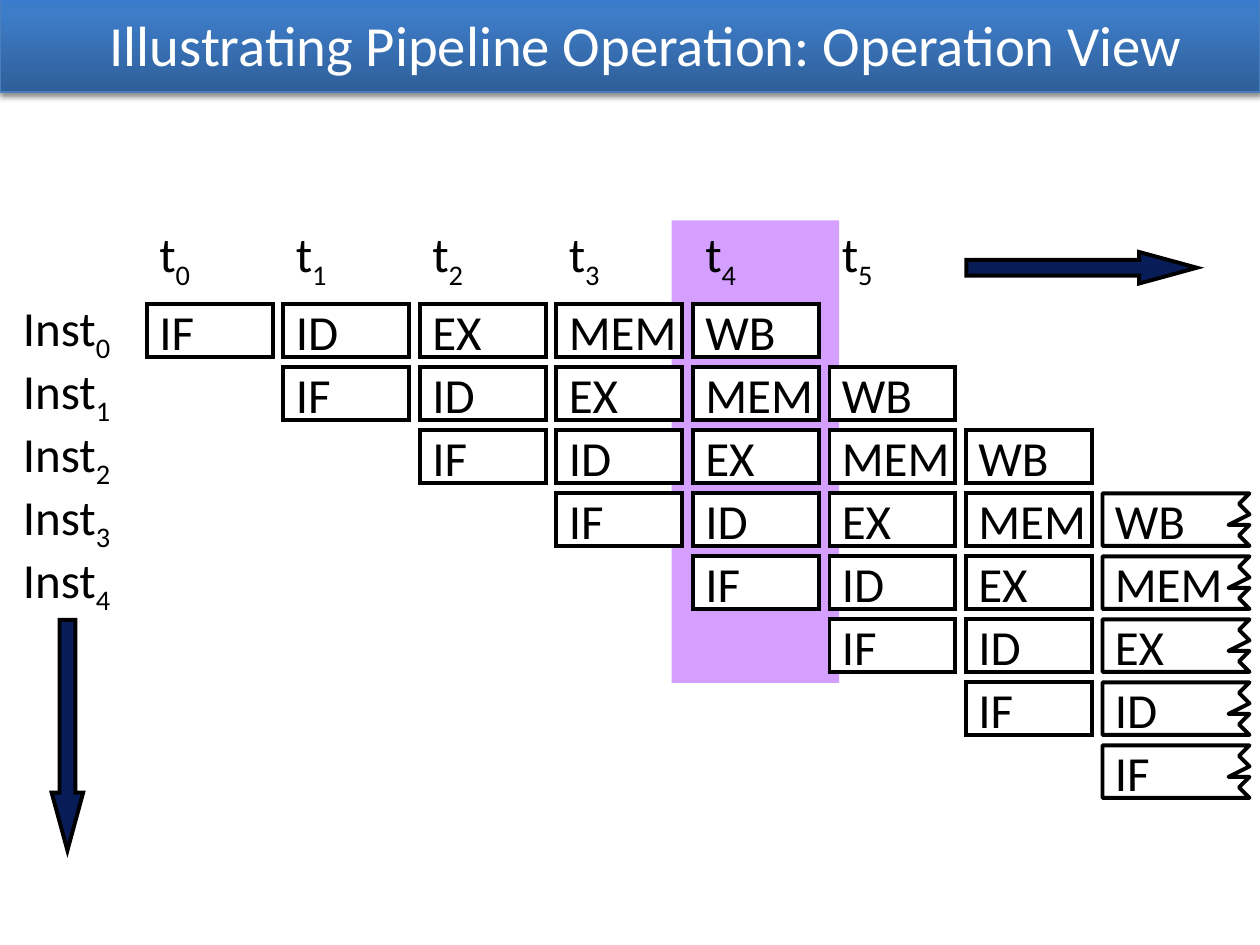
from copy import deepcopy
from typing import NamedTuple

from lxml.etree import SubElement
from pptx import Presentation
from pptx.dml.color import RGBColor
from pptx.enum.shapes import MSO_CONNECTOR as Connector, MSO_SHAPE as Preset
from pptx.enum.text import MSO_ANCHOR as Anchor, PP_ALIGN as Align
from pptx.oxml.ns import qn
from pptx.util import Inches, Pt

BLACK, WHITE, NAVY, PURPLE = "000000", "FFFFFF", "081D58", "D49FFF"
STAGES = ["IF", "ID", "EX", "MEM", "WB"]
TIMES, LABELLED, CYCLES = 6, 5, 8
LABEL_LEFT, GRID_LEFT, GRID_TOP, TIME_TOP = 1 / 12, 7 / 6, 29 / 12, 11 / 6
COLUMN_STEP, ROW_STEP = 13 / 12, 0.5
CELL_WIDTH, CELL_HEIGHT = 1, 5 / 12
# Outline of a cell torn off on its right side, in twelfths of an inch;
# the deepest notch stays to the right of the widest stage name
TORN_EDGE = [(14, 0), (0, 0), (0, 5), (14, 5), (13, 4), (14, 3), (12, 3), (14, 2), (13, 1)]


class Box(NamedTuple):
    """Position and size in inches."""
    left: float
    top: float
    width: float = CELL_WIDTH
    height: float = CELL_HEIGHT

    def lengths(self) -> list:
        """Return the four values as lengths."""
        return [Inches(value) for value in self]


def rgb(code: str) -> RGBColor:
    """Turn a hex string into a colour."""
    return RGBColor.from_string(code)


def set_line(shape, code: str, width: float, miter: bool = True) -> None:
    """Give a shape a solid outline."""
    shape.line.color.rgb = rgb(code)
    shape.line.width = Pt(width)
    if miter:
        SubElement(shape.line._get_or_add_ln(), qn("a:miter"), lim="800000")


def add_shadow(effects) -> None:
    """Put a soft shadow, cast downwards, in an effect list."""
    shadow = SubElement(effects, qn("a:outerShdw"), blurRad=str(Pt(3.1)), dist=str(Pt(1.8)),
                        dir="5400000", rotWithShape="0")
    SubElement(SubElement(shadow, qn("a:srgbClr"), val=BLACK), qn("a:alpha"), val="35000")


def add_preset(shapes, preset: Preset, box: Box, fill: str, outlined: bool = False):
    """Draw a flat preset shape."""
    shape = shapes.add_shape(preset, *box.lengths())
    shape.shadow.inherit = False
    shape.fill.solid()
    shape.fill.fore_color.rgb = rgb(fill)
    if outlined:
        set_line(shape, BLACK, 2.25)
    else:
        shape.line.fill.background()
    return shape


def write(shape, text: str, subscript: str = "", size: float = 28, color: str = BLACK,
          align: Align = Align.LEFT, wrap: bool = False) -> None:
    """Write a text, with an optional subscript, into a shape."""
    frame = shape.text_frame
    frame.word_wrap = wrap
    frame.vertical_anchor = Anchor.MIDDLE
    paragraph = frame.paragraphs[0]
    paragraph.alignment = align
    for part in filter(None, (text, subscript)):
        run = paragraph.add_run()
        run.text = part
        run.font.size, run.font.name = Pt(size), "Calibri"
        run.font.color.rgb = rgb(color)
    if subscript:
        run._r.get_or_add_rPr().set("baseline", "-25000")


def add_title_bar(shapes, title: str) -> None:
    """Draw the shaded bar with the slide title."""
    rule = shapes.add_connector(Connector.STRAIGHT, 0, Inches(0.68), Inches(10), Inches(0.68))
    set_line(rule, "4F81BD", 3, miter=False)
    add_shadow(SubElement(rule._element.spPr, qn("a:effectLst")))

    bar = add_preset(shapes, Preset.RECTANGLE, Box(0, -0.03, 10, 0.76), WHITE)
    set_line(bar, "4B7EBC", 0.75, miter=False)
    properties = bar._element.spPr
    add_shadow(properties.find(qn("a:effectLst")))
    bar.fill.gradient()
    bar.fill.gradient_angle = 90
    stop_list = properties.find(".//" + qn("a:gsLst"))
    stop_list.append(deepcopy(stop_list[-1]))
    shades = [(0, "2F5F99"), (0.8, "3D7CC7"), (1, "3A7CCB")]
    for stop, (position, code) in zip(bar.fill.gradient_stops, shades):
        stop.position = position
        stop.color.rgb = rgb(code)

    heading = shapes.add_textbox(*Box(0.25, 0.05, 9.75, 0.59).lengths())
    write(heading, title, size=32.4, color=WHITE, align=Align.CENTER, wrap=True)


def add_torn_outline(shapes, cell: Box) -> None:
    """Outline a cell that continues beyond the diagram."""
    points = [(Inches(cell.left + x / 12), Inches(cell.top + y / 12)) for x, y in TORN_EDGE]
    builder = shapes.build_freeform(*points[0])
    builder.add_line_segments(points[1:], close=True)
    outline = builder.convert_to_shape()
    outline.shadow.inherit = False
    outline.fill.background()
    set_line(outline, BLACK, 2.25, miter=False)


def add_arrow(shapes, box: Box, rotation: float = 0) -> None:
    """Draw a long navy arrow."""
    arrow = add_preset(shapes, Preset.RIGHT_ARROW, box, NAVY, outlined=True)
    arrow.adjustments[0], arrow.adjustments[1] = 0.5, 1.833
    arrow.rotation = rotation


def add_pipeline(shapes) -> None:
    """Draw the time labels, instruction labels and stage cells."""
    for time in range(TIMES):
        box = Box(GRID_LEFT + time * COLUMN_STEP, TIME_TOP)
        write(shapes.add_textbox(*box.lengths()), "t", str(time))
    for instruction in range(CYCLES):
        top = GRID_TOP + instruction * ROW_STEP
        if instruction < LABELLED:
            label = add_preset(shapes, Preset.RECTANGLE, Box(LABEL_LEFT, top), WHITE)
            write(label, "Inst", str(instruction))
        for cycle, stage in zip(range(instruction, CYCLES), STAGES):
            box = Box(GRID_LEFT + cycle * COLUMN_STEP, top)
            torn = cycle == CYCLES - 1
            cell = add_preset(shapes, Preset.RECTANGLE, box, WHITE, outlined=not torn)
            write(cell, stage)
            if torn:
                add_torn_outline(shapes, box)


def main() -> None:
    """Build and save the slide."""
    deck = Presentation()
    deck.slide_width, deck.slide_height = Inches(10), Inches(7.5)
    shapes = deck.slides.add_slide(deck.slide_layouts[6]).shapes
    add_title_bar(shapes, "Illustrating Pipeline Operation: Operation View")
    add_preset(shapes, Preset.RECTANGLE, Box(5.33, 1.75, 1.33, 3.67), PURPLE)
    add_pipeline(shapes)
    add_arrow(shapes, Box(7.67, 2, 1.83, 0.25))
    add_arrow(shapes, Box(-0.38, 5.71, 1.83, 0.25), rotation=90)
    deck.save("out.pptx")


main()
